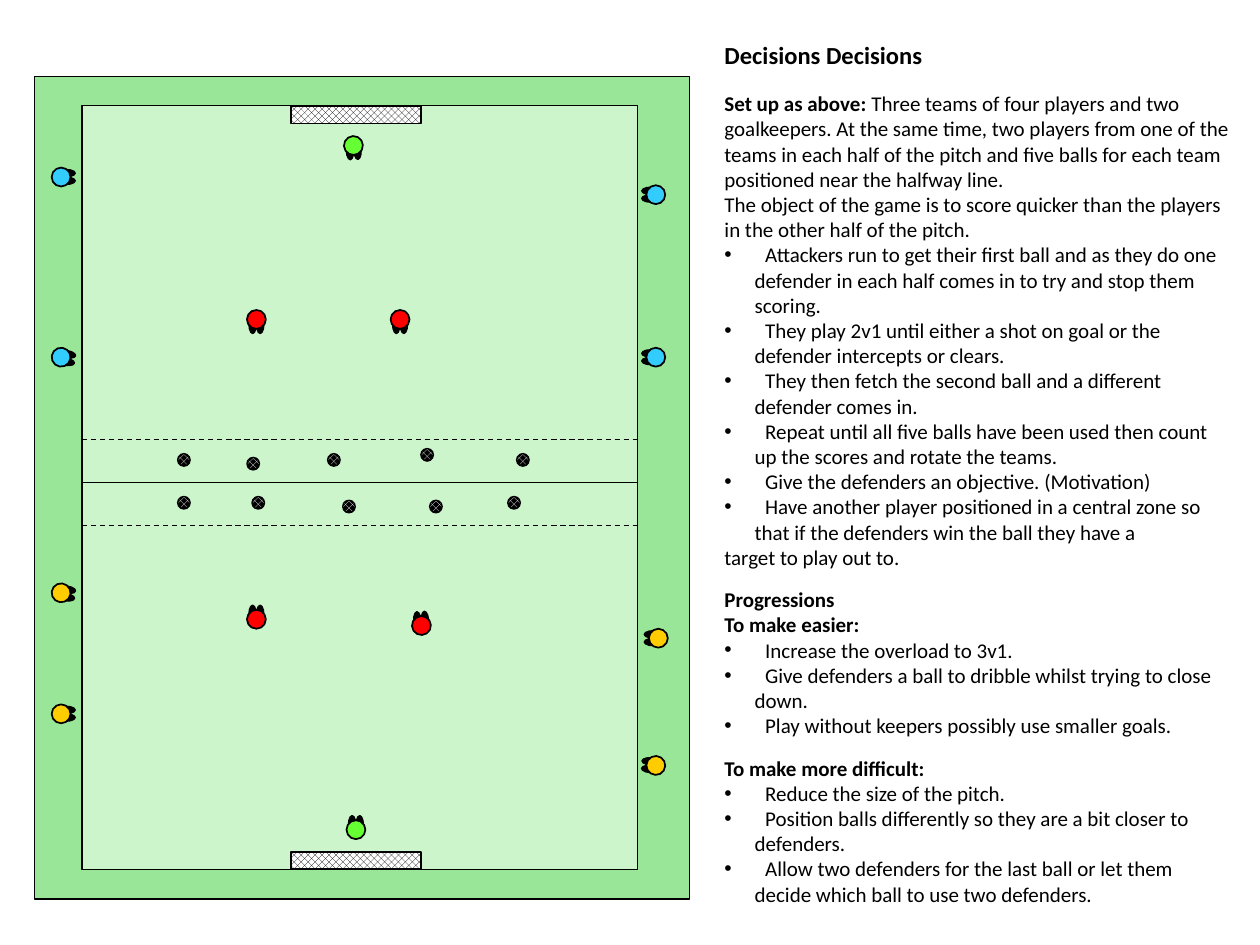
from math import cos, radians, sin
from lxml.etree import SubElement
from pptx import Presentation
from pptx.dml.color import RGBColor
from pptx.enum.dml import MSO_LINE as Dash, MSO_PATTERN as Pat
from pptx.enum.shapes import MSO_CONNECTOR as Conn, MSO_SHAPE as Form
from pptx.oxml.ns import qn
from pptx.util import Inches, Pt

BLACK = RGBColor(0x00, 0x00, 0x00)
WHITE = RGBColor(0xFF, 0xFF, 0xFF)
GRASS = RGBColor(0x99, 0xE6, 0x99)
PITCH = RGBColor(0xCC, 0xF5, 0xCC)
LIME = RGBColor(0x66, 0xFF, 0x33)
BLUE = RGBColor(0x33, 0xCC, 0xFF)
GOLD = RGBColor(0xFF, 0xCC, 0x00)
RED = RGBColor(0xFF, 0x00, 0x00)

COLS, ROWS = 100, 75
deck = Presentation()
deck.slide_width, deck.slide_height = Inches(10), Inches(7.5)
CELL_W, CELL_H = deck.slide_width / COLS, deck.slide_height / ROWS
slide = deck.slides.add_slide(deck.slide_layouts[6])

FIELD = (2.75, 6.05, 52, 65.3)
NOTES = (57.1, 2.8, 41, 69.5)

TEAMS = [
    (LIME, [(25.3, 5.5, 177.4), (25.5, 59.8, 0)]),
    (BLUE, [(2.1, 8, 90), (2.1, 22.3, 99.2), (49.3, 9.4, 270), (49.3, 22.3, 270)]),
    (RED, [(17.6, 19.3, 180), (29, 19.3, 180), (17.6, 43.1, 0), (30.7, 43.6, 356.7)]),
    (GOLD, [(2.1, 41, 97.6), (2.1, 50.6, 90), (49.5, 44.6, 270), (49.3, 54.7, 273.3)]),
]
BALLS = [
    (11.85, 30.45), (17.35, 30.75), (23.75, 30.45), (31.15, 30.05), (38.75, 30.45),
    (11.85, 33.85), (17.75, 33.85), (24.95, 34.15), (31.85, 34.15), (38.05, 33.85),
]

HEAD = {"size": Pt(14), "bold": True}
BOLD = {"size": Pt(12), "bold": True}
BODY = {"size": Pt(12), "bold": False}
TEXT = [
    (0, False, [("Decisions Decisions", HEAD)]),
    (12, False, [
        ("Set up as above: ", BOLD),
        ("Three teams of four players and two goalkeepers. At the same time, two players "
         "from one of the teams in each half of the pitch and five balls for each team "
         "positioned near the halfway line.", BODY)]),
    (0, False, [("The object of the game is to score quicker than the players in the other "
                 "half of the pitch.", BODY)]),
    (0, True, [("Attackers run to get their first ball and as they do one defender in each "
                "half comes in to try and stop them scoring.", BODY)]),
    (0, True, [("They play 2v1 until either a shot on goal or the defender intercepts or "
                "clears.", BODY)]),
    (0, True, [("They then fetch the second ball and a different defender comes in.", BODY)]),
    (0, True, [("Repeat until all five balls have been used then count up the scores and "
                "rotate the teams.", BODY)]),
    (0, True, [("Give the defenders an objective. (Motivation)", BODY)]),
    (0, True, [("Have another player positioned in a central zone so that if the defenders "
                "win the ball they have a ", BODY)]),
    (0, False, [("target to play out to.", BODY)]),
    (9.8, False, [("Progressions", BOLD)]),
    (0, False, [("To make easier:", BOLD)]),
    (0, True, [("Increase the overload to 3v1.", BODY)]),
    (0, True, [("Give defenders a ball to dribble whilst trying to close down.", BODY)]),
    (0, True, [("Play without keepers possibly use smaller goals.", BODY)]),
    (9.8, False, [("To make more difficult:", BOLD)]),
    (0, True, [("Reduce the size of the pitch.", BODY)]),
    (0, True, [("Position balls differently so they are a bit closer to defenders.", BODY)]),
    (0, True, [("Allow two defenders for the last ball or let them decide which ball to use "
                "two defenders.", BODY)]),
]
PAD = "\u2002"


def apply(item, form):
    for key, val in form.items():
        setattr(item, key, val)


def grid(x, y, w, h):
    return [round(n) for n in (x * CELL_W, y * CELL_H, w * CELL_W, h * CELL_H)]


def draw(form, box, fill, width=0.75, turn=0):
    shape = slide.shapes.add_shape(form, *grid(*box))
    shape.shadow.inherit = False
    shape.rotation = turn
    if isinstance(fill, dict):
        shape.fill.patterned()
        apply(shape.fill, {"pattern": fill["pattern"]})
        shape.fill.fore_color.rgb = fill["fore"]
        shape.fill.back_color.rgb = fill["back"]
    else:
        shape.fill.solid()
        shape.fill.fore_color.rgb = fill
    shape.line.color.rgb = BLACK
    shape.line.width = Pt(width)


def disc(x, y, w, h, fill, width=0.75, turn=0):
    draw(Form.OVAL, (x - w / 2, y - h / 2, w, h), fill, width, turn)


def rule(x, y, w, dash):
    left, top, wide, _ = grid(x, y, w, 0)
    line = slide.shapes.add_connector(Conn.STRAIGHT, left, top, left + wide, top)
    line.line.color.rgb = BLACK
    apply(line.line, {"width": Pt(0.75), "dash_style": dash})
    SubElement(line._element.spPr, qn("a:effectLst"))


def player(x, y, turn, color):
    dx, dy = sin(radians(turn)), -cos(radians(turn))
    for side in (-0.3, 0.3):
        disc(x + 0.37 * dx - side * dy, y + 0.37 * dy + side * dx, 0.6, 1.5, BLACK, 0.75, turn)
    disc(x, y, 1.5, 1.5, color, 1, turn)


def field(box):
    x, y, w, h = box
    net = {"pattern": Pat.OUTLINED_DIAMOND, "fore": BLACK, "back": WHITE}
    skin = {"pattern": Pat.SOLID_DIAMOND, "fore": WHITE, "back": BLACK}
    left, top, wide, high = x + 3.75, y + 2.35, 44.1, 60.6
    draw(Form.RECTANGLE, box, GRASS)
    draw(Form.RECTANGLE, (left, top, wide, high), PITCH)
    for edge in (top, top + high - 1.4):
        draw(Form.RECTANGLE, (x + 20.35, edge, 10.3, 1.4), net, 1)
    for gap, dash in ((-3.4, Dash.DASH), (0, Dash.SOLID), (3.4, Dash.DASH)):
        rule(left, y + 32.25 + gap, wide, dash)
    for col, row in BALLS:
        disc(x + col, y + row, 1, 1, skin, 0.75, 270)
    for color, team in TEAMS:
        for col, row, turn in team:
            player(x + col, y + row, turn, color)


def notes(box):
    frame = slide.shapes.add_textbox(*grid(*box)).text_frame
    inset = Inches(0.04)
    apply(frame, {"word_wrap": True, "margin_left": inset, "margin_right": inset,
                  "margin_top": inset, "margin_bottom": inset})
    for num, (gap, listed, runs) in enumerate(TEXT):
        para = frame.add_paragraph() if num else frame.paragraphs[0]
        para.space_before = Pt(gap)
        if listed:
            props = para._p.get_or_add_pPr()
            props.set("marL", str(Inches(0.24)))
            props.set("indent", str(-Inches(0.24)))
            SubElement(props, qn("a:buFont")).set("typeface", "Arial")
            SubElement(props, qn("a:buChar")).set("char", "•")
        for words, form in runs:
            run = para.add_run()
            run.text = PAD + words if listed else words
            apply(run.font, {"name": "Calibri", **form})
            run.font.color.rgb = BLACK


field(FIELD)
notes(NOTES)
deck.save("out.pptx")
